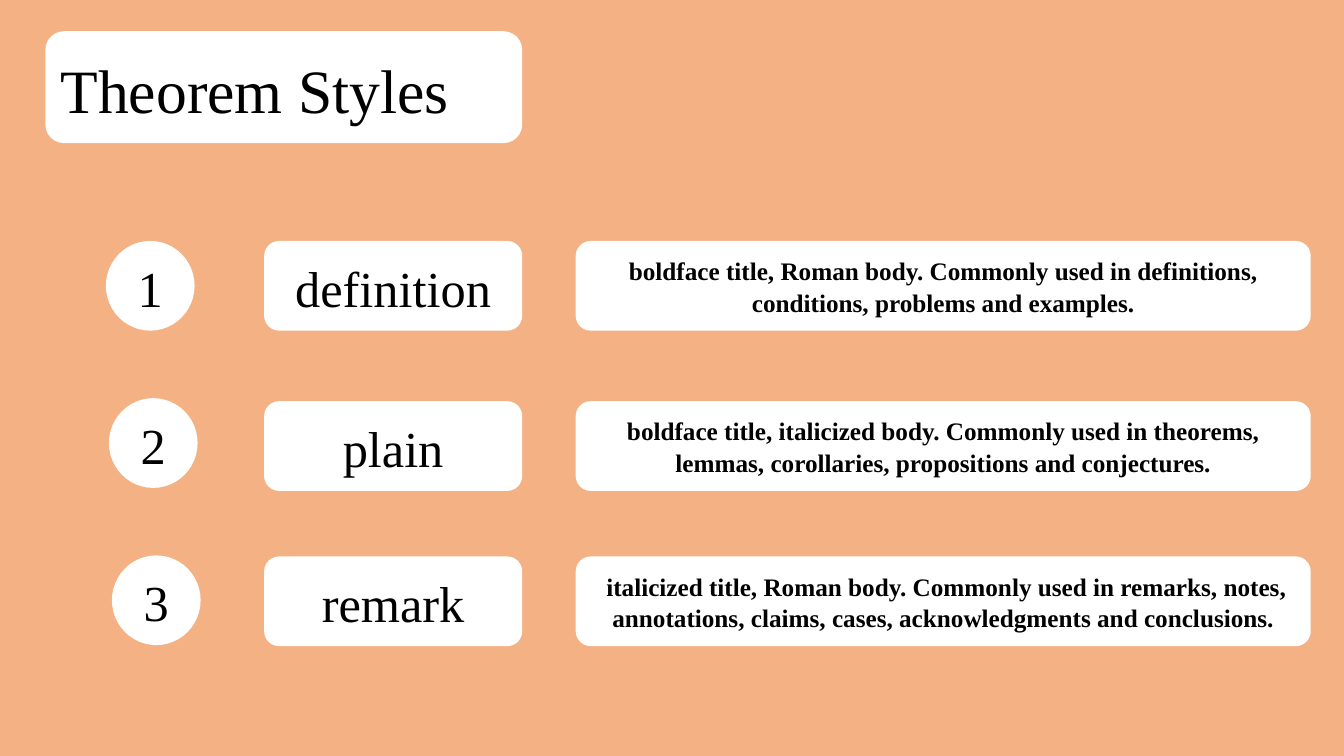
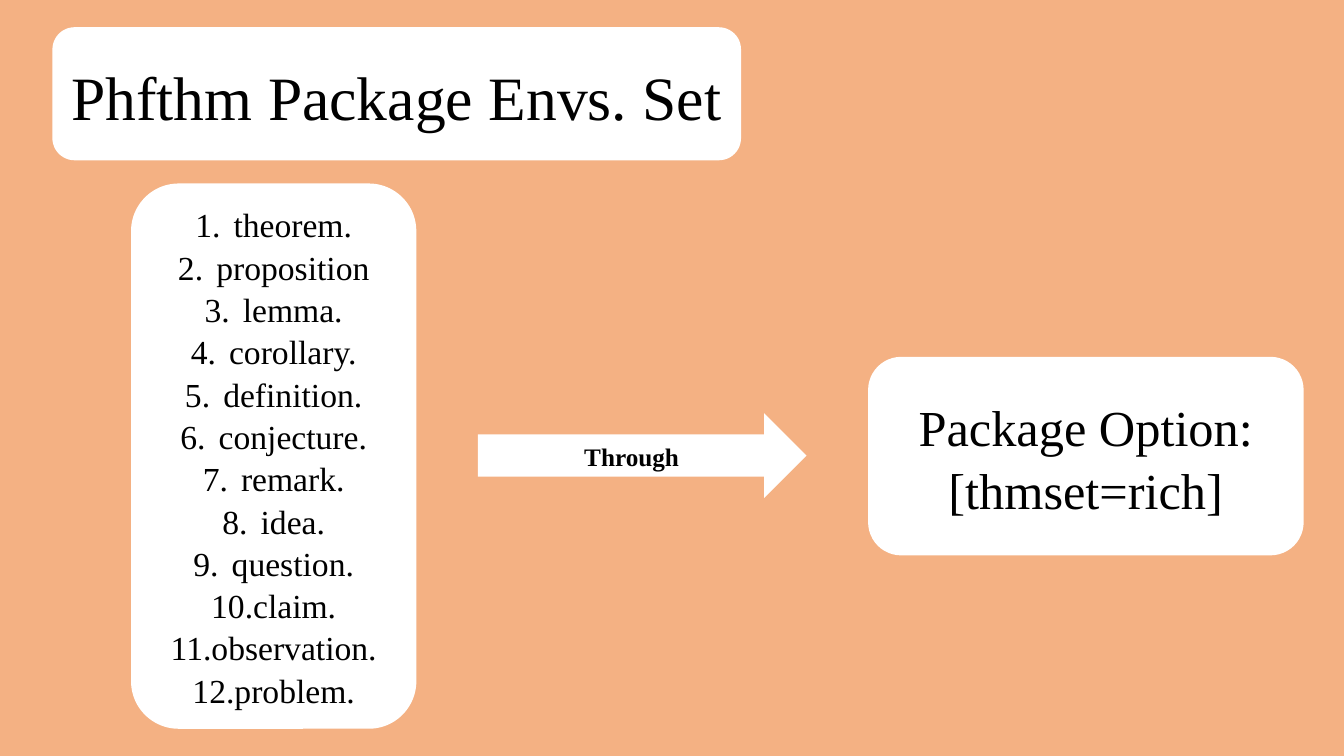
from dataclasses import dataclass

from lxml.etree import SubElement as Sub
from pptx import Presentation as Deck
from pptx.dml.color import RGBColor as Color
from pptx.enum.shapes import MSO_SHAPE as Kind
from pptx.enum.text import MSO_ANCHOR as Anchor, MSO_AUTO_SIZE as Auto, PP_ALIGN as Align
from pptx.oxml.ns import qn
from pptx.util import Inches, Pt


@dataclass(frozen=True)
class Theme:
    back: Color = Color(0xF4, 0xB1, 0x83)
    card: Color = Color(0xFF, 0xFF, 0xFF)
    ink: Color = Color(0, 0, 0)
    face: str = "Times New Roman"
    head: int = 44
    big: int = 36
    mid: int = 24
    small: int = 18
    lead: float = 1.05


def put(item, **vals):
    for name, val in vals.items():
        setattr(item, name, val)


class Show:
    def __init__(self, theme):
        self.theme = theme
        self.deck = Deck()
        put(self.deck, slide_width=Inches(13.33), slide_height=Inches(7.5))
        self.paint(self.deck.slide_master.background, theme.back)
        self.slide = None

    def paint(self, item, color):
        item.fill.solid()
        item.fill.fore_color.rgb = color

    def label(self, frame, lines, size, bold=False, align=Align.CENTER, count=False):
        put(frame, word_wrap=True, auto_size=Auto.NONE, vertical_anchor=Anchor.MIDDLE)
        for i, line in enumerate(lines):
            para = frame.add_paragraph() if i else frame.paragraphs[0]
            put(para, alignment=align, line_spacing=self.theme.lead)
            if count:
                self.number(para)
            run = para.add_run()
            run.text = line
            put(run.font, name=self.theme.face, size=Pt(size), bold=bold)
            run.font.color.rgb = self.theme.ink

    def number(self, para):
        props = para._p.get_or_add_pPr()
        props.set("marL", str(Inches(0.38)))
        props.set("indent", str(-Inches(0.38)))
        Sub(props, qn("a:buFont"), typeface=self.theme.face)
        Sub(props, qn("a:buAutoNum"), type="arabicPeriod")

    def shape(self, kind, box):
        item = self.slide.shapes.add_shape(kind, *map(Inches, box))
        item.shadow.inherit = False
        self.paint(item, self.theme.card)
        item.line.fill.background()
        return item

    def card(self, box, lines, size, kind=Kind.ROUNDED_RECTANGLE, **style):
        self.label(self.shape(kind, box).text_frame, lines, size, **style)

    def page(self, text, box, align=Align.CENTER):
        self.slide = self.deck.slides.add_slide(self.deck.slide_layouts[5])
        title = self.slide.shapes.title
        plate = self.shape(Kind.ROUNDED_RECTANGLE, box)
        title.element.addprevious(plate.element)
        put(title, **dict(zip(("left", "top", "width", "height"), map(Inches, box))))
        put(title.text_frame, margin_left=Inches(0.15), margin_right=Inches(0.15))
        self.label(title.text_frame, [text], self.theme.head, align=align)


STYLES = [
    (2.39, "definition", "boldface title, Roman body. Commonly used in definitions, "
     "conditions, problems and examples."),
    (3.98, "plain", "boldface title, italicized body. Commonly used in theorems, "
     "lemmas, corollaries, propositions and conjectures."),
    (5.52, "remark", " italicized title, Roman body. Commonly used in remarks, notes, "
     "annotations, claims, cases, acknowledgments and conclusions."),
]
ENVS = ["theorem.", "proposition", "lemma.", "corollary.", "definition.", "conjecture.",
        "remark.", "idea.", "question.", "claim.", "observation.", "problem."]


def styles(show):
    theme = show.theme
    show.page("Theorem Styles", (0.45, 0.31, 4.73, 1.11), Align.LEFT)
    for i, (top, name, note) in enumerate(STYLES):
        spot = (1.05 + 0.03 * i, 2.39 + 1.56 * i, 0.88, 0.89)
        show.card(spot, [str(i + 1)], theme.big, Kind.OVAL)
        show.card((2.62, top, 2.56, 0.89), [name], theme.big)
        show.card((5.71, top, 7.29, 0.89), [note], theme.small, bold=True)


def envs(show):
    theme = show.theme
    show.page("Phfthm Package Envs. Set", (0.52, 0.27, 6.83, 1.32))
    show.card((1.3, 1.82, 2.83, 5.41), ENVS, theme.mid, count=True)
    show.card((4.74, 4.1, 3.26, 0.84), ["Through"], theme.small, Kind.RIGHT_ARROW, bold=True)
    show.card((8.61, 3.54, 4.32, 1.97), ["Package Option: [thmset=rich]"], theme.big)


def main():
    show = Show(Theme())
    styles(show)
    envs(show)
    show.deck.save("out.pptx")


if __name__ == "__main__":
    main()
